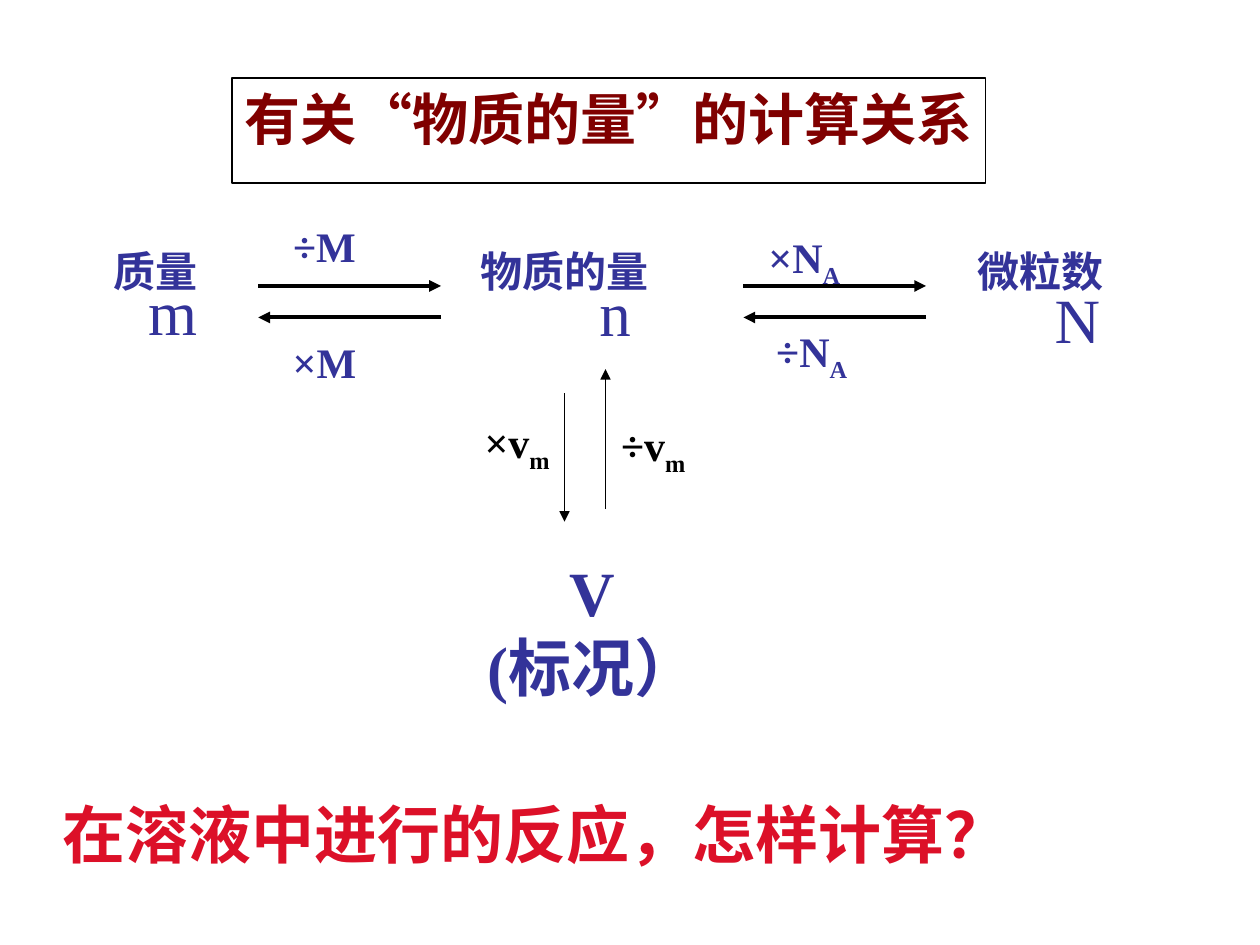
from pptx import Presentation
from pptx.dml.color import RGBColor
from pptx.enum.lang import MSO_LANGUAGE_ID
from pptx.enum.shapes import MSO_CONNECTOR
from pptx.enum.text import MSO_ANCHOR, MSO_AUTO_SIZE, PP_ALIGN
from pptx.oxml.ns import qn
from pptx.util import Pt
from lxml import etree

COLORS = {"maroon": "800000", "indigo": "333399", "black": "000000", "red": "DC1028"}
LEFT, CENTER = PP_ALIGN.LEFT, PP_ALIGN.CENTER

presentation = Presentation()
presentation.slide_width = Pt(720)
presentation.slide_height = Pt(540)
slide = presentation.slides.add_slide(presentation.slide_layouts[5])


def write_text(shape, lines, size, color, bold=True, align=LEFT, margin_right=7.2, spacing=None):
    frame = shape.text_frame
    frame_format = {
        "word_wrap": True,
        "auto_size": MSO_AUTO_SIZE.SHAPE_TO_FIT_TEXT,
        "vertical_anchor": MSO_ANCHOR.TOP,
        "margin_right": Pt(margin_right),
    }
    for name, value in frame_format.items():
        setattr(frame, name, value)
    font_format = {
        "name": "Times New Roman",
        "size": Pt(size),
        "bold": bold,
        "language_id": MSO_LANGUAGE_ID.SIMPLIFIED_CHINESE,
    }
    for index, line in enumerate(lines):
        paragraph = frame.paragraphs[0] if index == 0 else frame.add_paragraph()
        paragraph.alignment = align
        paragraph.line_spacing = spacing
        base, _, subscript = line.partition("_")
        for text, baseline in ((base, None), (subscript, "-25000")):
            if not text:
                continue
            run = paragraph.add_run()
            run.text = text
            for name, value in font_format.items():
                setattr(run.font, name, value)
            run.font.color.rgb = RGBColor.from_string(COLORS[color])
            if baseline:
                run._r.get_or_add_rPr().set("baseline", baseline)


def add_arrow(start_x, start_y, end_x, end_y, width):
    arrow = slide.shapes.add_connector(
        MSO_CONNECTOR.STRAIGHT, Pt(start_x), Pt(start_y), Pt(end_x), Pt(end_y))
    arrow.line.width = Pt(width)
    arrow.line.color.rgb = RGBColor.from_string(COLORS["black"])
    etree.SubElement(arrow.line._get_or_add_ln(), qn("a:tailEnd"), type="triangle")
    etree.SubElement(arrow._element.spPr, qn("a:effectLst"))


title = slide.shapes.title
title_place = {"left": 132.5, "top": 44.6, "width": 430.5, "height": 46}
for name, value in title_place.items():
    setattr(title, name, Pt(value))
title.line.width = Pt(0.75)
title.line.color.rgb = RGBColor.from_string(COLORS["black"])
write_text(title, ["有关“物质的量”的计算关系"], 32, "maroon", margin_right=0)

quantity = {"size": 24, "color": "indigo"}
fitted = {**quantity, "margin_right": 0}
symbol = {"size": 36, "color": "indigo", "bold": False, "align": CENTER}
volume = {"size": 36, "color": "indigo", "align": CENTER}
molar_volume = {"size": 24, "color": "black", "align": CENTER}
question = {"size": 36, "color": "red"}

labels = [
    (["V", "(标况）"], 260.6, 312.5, 156.2, 93.6, volume),
    (["÷v_m"], 329.8, 249.8, 87, 20.2, {**molar_volume, "spacing": 0.4}),
    (["×v_m"], 252, 245.5, 87, 23.8, {**molar_volume, "spacing": 0.5}),
    (["质量"], 57.6, 136.8, 62, 36, fitted),
    (["物质的量"], 267.5, 136.8, 110.2, 36, fitted),
    (["微粒数"], 551.5, 136.8, 106.6, 36, quantity),
    (["÷M"], 160.5, 122.6, 50.4, 36, fitted),
    (["×M"], 160.2, 188.6, 50.4, 36, fitted),
    (["×N_A"], 432, 128.9, 95, 40.3, quantity),
    (["÷N_A"], 436.5, 182.7, 54.7, 40.3, fitted),
    (["m"], 48.2, 152, 101, 50.4, symbol),
    (["n"], 301, 152.6, 101, 50.4, symbol),
    (["N"], 565.2, 157, 101, 50.4, symbol),
    (["在溶液中进行的反应，怎样计算？"], 28.8, 450.9, 698.4, 50.4, question),
]
for lines, left, top, width, height, text_format in labels:
    box = slide.shapes.add_textbox(Pt(left), Pt(top), Pt(width), Pt(height))
    write_text(box, lines, **text_format)

for left in (147.6, 424.8):
    right = left + 104.4
    add_arrow(left, 163.4, right, 163.4, 2.25)
    add_arrow(right, 181.4, left, 181.4, 2.25)

add_arrow(346, 290.9, 346, 211, 0.75)
add_arrow(322.6, 224.6, 322.6, 298.1, 0.75)

presentation.save("out.pptx")
